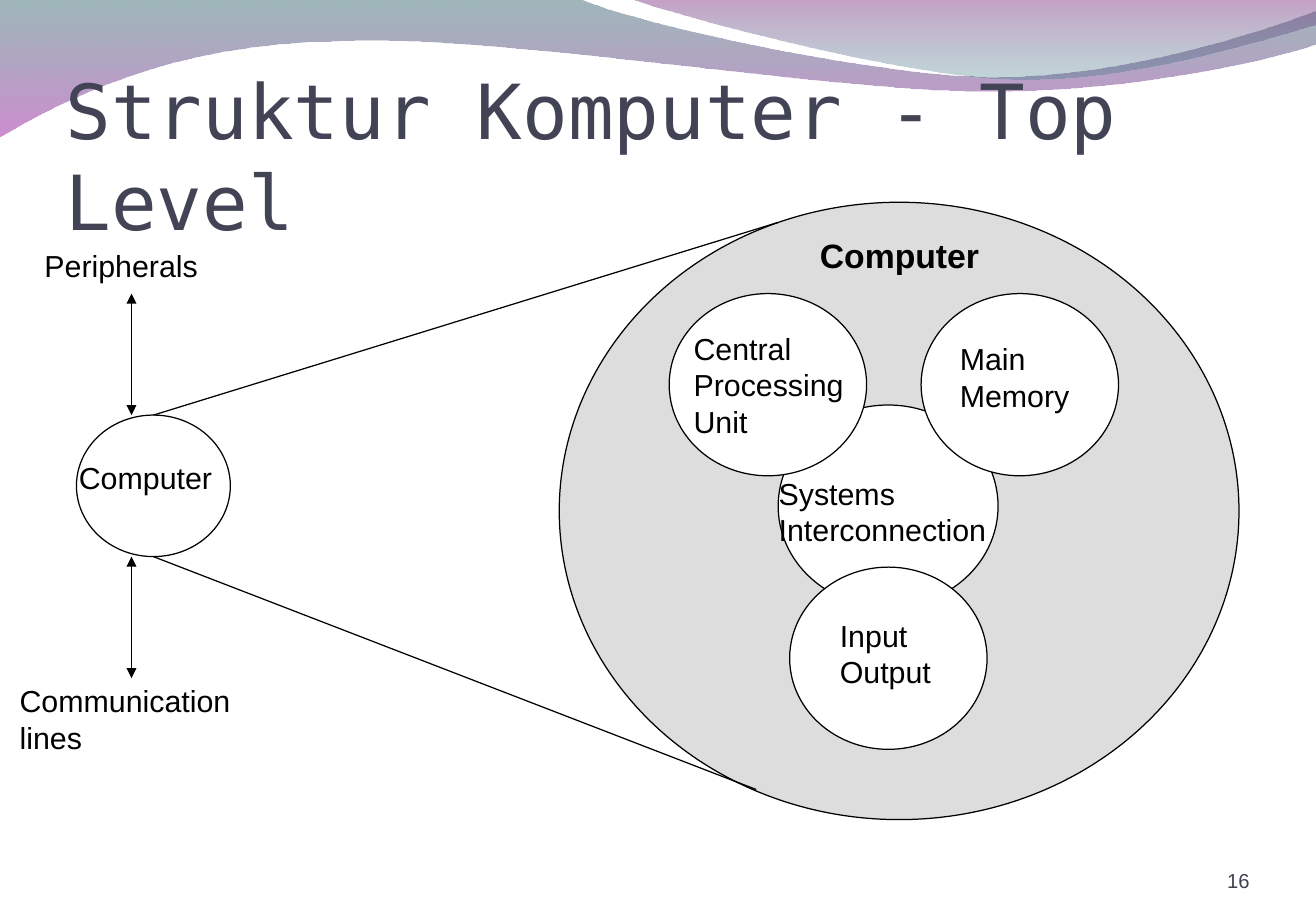
import pptx
import pptx.util
import pptx.dml.color
import pptx.enum.shapes
import pptx.enum.text
import pptx.oxml
import pptx.oxml.ns

Cm = pptx.util.Cm
Pt = pptx.util.Pt
ANCHOR = pptx.enum.text.MSO_ANCHOR
ALIGN = pptx.enum.text.PP_ALIGN
FIT = pptx.enum.text.MSO_AUTO_SIZE
BLACK, WHITE, GREY = "000000", "FFFFFF", "DDDDDD"
NAMESPACE = pptx.oxml.ns.nsdecls("a")

# Wave outlines in cm: two numbers are a line end, six are a Bezier curve
WIDE_WAVE = [
    (0, -0.03),
    (12.12, -0.03),
    (13.08, 0.43, 18.26, 1.6, 20.88, 1.6),
    (23.47, 1.6, 26.37, 0.66, 27.51, 0.23),
    (27.56, 0.91),
    (27.05, 1.12, 23.93, 1.93, 20.52, 1.9),
    (17.12, 1.9, 10.52, 0.71, 7.09, 0.86),
    (3.56, 0.89, 1.27, 2.11, -0.03, 2.87),
]
RIGHT_WAVE = [
    (13.18, -0.03),
    (14.02, 0.28, 18.77, 1.57, 21.16, 1.65),
    (23.55, 1.75, 26.47, 0.81, 27.51, 0.53),
    (27.51, 0),
]

# Labels: text, left, top, width, height in cm
LABELS = [
    ("Computer", 1.4, 9.47, 3.35, 1.02),
    ("Main\nMemory", 19.83, 6.99, 2.85, 1.78),
    ("Input\nOutput", 17.32, 12.78, 2.46, 1.78),
    ("Systems\nInterconnection", 16.04, 9.81, 4.9, 1.78),
    ("Peripherals", 0.68, 5.04, 3.78, 1.02),
    ("Communication\nlines", 0.16, 14.15, 4.97, 1.78),
    ("Central\nProcessing\nUnit", 14.26, 6.78, 3.86, 2.54),
]


def colour(value):
    return pptx.dml.color.RGBColor.from_string(value)


def bend_lines(wave, segments):
    """Turn each three lines that stand for a curve into one Bezier curve."""
    lines = iter(list(wave._element.spPr.iter(pptx.oxml.ns.qn("a:lnTo"))))
    for segment in segments[1:]:
        first = next(lines)
        if len(segment) == 2:
            continue
        curve = pptx.oxml.parse_xml(f"<a:cubicBezTo {NAMESPACE}/>")
        first.addprevious(curve)
        for line in (first, next(lines), next(lines)):
            curve.append(line[0])
            line.getparent().remove(line)


def add_wave(page, segments, stops):
    """Stops are (colour, opacity in percent) from top to bottom."""
    points = [(Cm(segment[i]), Cm(segment[i + 1]))
              for segment in segments for i in range(0, len(segment), 2)]
    builder = page.shapes.build_freeform(*points[0])
    builder.add_line_segments(points[1:], close=True)
    wave = builder.convert_to_shape()
    bend_lines(wave, segments)
    wave.shadow.inherit = False
    wave.line.fill.background()
    wave.fill.gradient()
    wave.fill.gradient_angle = 270
    for stop, position, (value, _) in zip(wave.fill.gradient_stops, (0, 1), stops):
        stop.color.rgb = colour(value)
        stop.position = position
    tints = wave._element.spPr.iter(pptx.oxml.ns.qn("a:srgbClr"))
    for tint, (_, opacity) in zip(tints, stops):
        tint.append(pptx.oxml.parse_xml(f'<a:alpha {NAMESPACE} val="{opacity * 1000}"/>'))


def style_text(frame, text, size, font="Arial", value=BLACK, bold=False, align=ALIGN.LEFT):
    frame.text = text
    for para in frame.paragraphs:
        para.alignment = align
        for span in para.runs:
            span.font.name = font
            span.font.size = Pt(size)
            span.font.bold = bold
            span.font.color.rgb = colour(value)


def add_label(page, text, left, top, width, height, size=18, bold=False, anchor=ANCHOR.TOP):
    box = page.shapes.add_textbox(Cm(left), Cm(top), Cm(width), Cm(height))
    frame = box.text_frame
    style_text(frame, text, size, bold=bold)
    frame.word_wrap = False
    frame.auto_size = FIT.SHAPE_TO_FIT_TEXT
    frame.vertical_anchor = anchor


def add_circle(page, left, top, width, height, fill=WHITE):
    circle = page.shapes.add_shape(pptx.enum.shapes.MSO_SHAPE.OVAL,
                                   Cm(left), Cm(top), Cm(width), Cm(height))
    circle.shadow.inherit = False
    if fill:
        circle.fill.solid()
        circle.fill.fore_color.rgb = colour(fill)
    else:
        circle.fill.background()
    circle.line.color.rgb = colour(BLACK)
    circle.line.width = Pt(0.75)


def add_line(page, x1, y1, x2, y2, arrows=False):
    line = page.shapes.add_connector(pptx.enum.shapes.MSO_CONNECTOR.STRAIGHT,
                                     Cm(x1), Cm(y1), Cm(x2), Cm(y2))
    line.line.color.rgb = colour(BLACK)
    line.line.width = Pt(0.75)
    if arrows:
        for end in ("headEnd", "tailEnd"):
            line.line._get_or_add_ln().append(
                pptx.oxml.parse_xml(f'<a:{end} {NAMESPACE} type="triangle"/>'))
    line._element.spPr.append(pptx.oxml.parse_xml(f"<a:effectLst {NAMESPACE}/>"))


def place_title(page, text):
    title = page.shapes.title
    title.left, title.top, title.width, title.height = Cm(1.37), Cm(1.96), Cm(24.77), Cm(3.18)
    frame = title.text_frame
    style_text(frame, text, 45, "DejaVu Sans Mono", "424456")
    frame.word_wrap = True
    frame.auto_size = FIT.NONE
    frame.vertical_anchor = ANCHOR.BOTTOM
    frame.margin_left = frame.margin_right = frame.margin_bottom = 0
    frame.margin_top = Cm(0.13)
    page.shapes._spTree.append(title._element)  # in front of the waves


def add_page_number(page, number):
    box = page.shapes.add_textbox(Cm(23.85), Cm(17.65), Cm(2.29), Cm(1.02))
    frame = box.text_frame
    style_text(frame, number, 12, value="3F4052", align=ALIGN.RIGHT)
    frame.word_wrap = True
    frame.vertical_anchor = ANCHOR.BOTTOM
    frame.margin_left = frame.margin_right = frame.margin_top = frame.margin_bottom = 0


def main():
    deck = pptx.Presentation()
    deck.slide_width, deck.slide_height = Cm(27.53), Cm(19.05)
    page = deck.slides.add_slide(deck.slide_layouts[5])

    # Header waves, title and page number
    add_wave(page, WIDE_WAVE, [("2A6066", 45), ("A52FA9", 55)])
    add_wave(page, RIGHT_WAVE, [("7D2C80", 45), ("2E7A81", 30)])
    place_title(page, "Struktur Komputer - Top Level")
    add_page_number(page, "16")

    # Enlarged computer with its units, and the small computer
    add_circle(page, 11.7, 4.23, 14.22, 12.91, GREY)
    add_circle(page, 16.28, 8.47, 4.6, 4.23)
    for left, top in ((14, 6.14), (19.27, 6.14), (16.52, 11.86)):
        add_circle(page, left, top, 4.13, 3.81)
    add_circle(page, 1.6, 8.68, 3.22, 2.96, None)

    # Zoom lines and arrows to the outside
    add_line(page, 3.21, 8.68, 16.28, 4.65)
    add_line(page, 3.21, 11.64, 15.82, 16.51)
    for top in (6.14, 11.64):
        add_line(page, 2.75, top, 2.75, top + 2.54, arrows=True)

    # Labels
    for label in LABELS:
        add_label(page, *label)
    add_label(page, "Computer", 16.9, 4.78, 3.86, 1.12, 20, True, ANCHOR.MIDDLE)

    deck.save("out.pptx")


if __name__ == "__main__":
    main()
